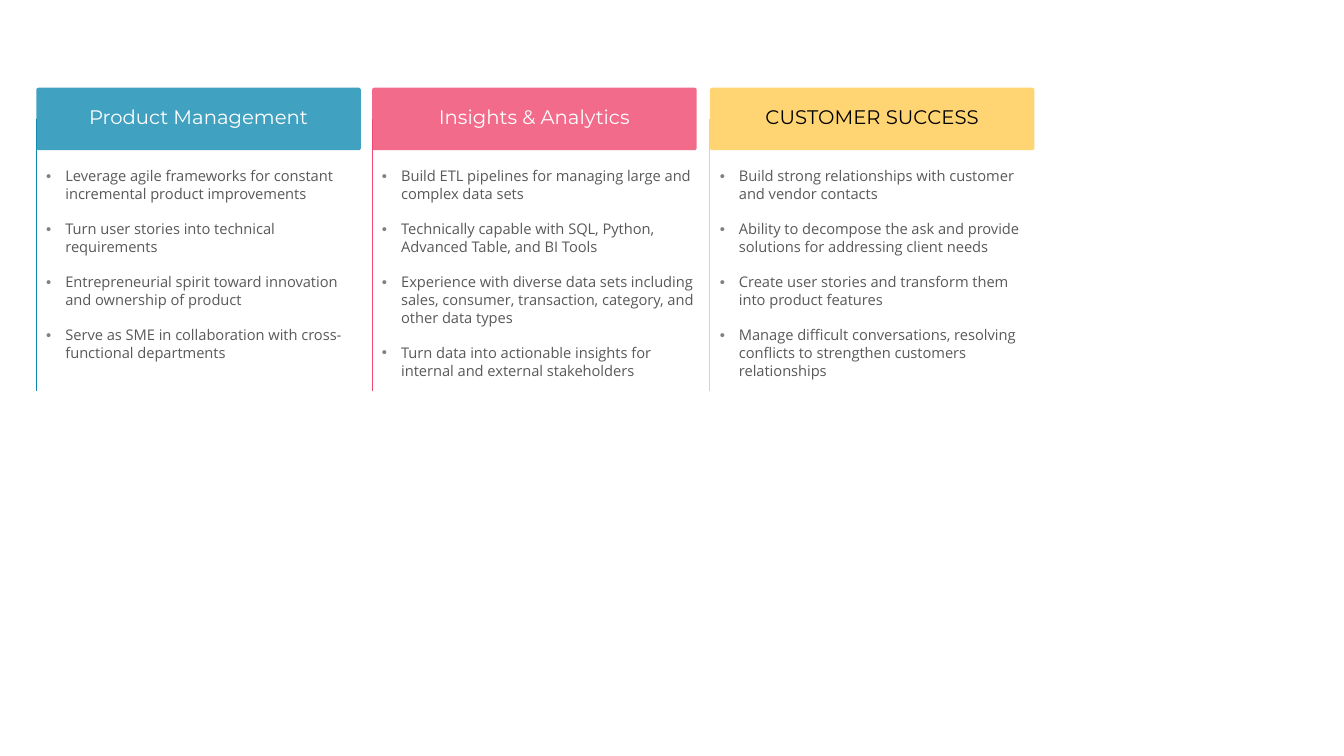
from lxml.etree import SubElement
from pptx import Presentation
from pptx.dml.color import RGBColor
from pptx.enum.shapes import MSO_CONNECTOR as Connector, MSO_SHAPE as Shape
from pptx.enum.text import PP_ALIGN as Align
from pptx.oxml.ns import qn
from pptx.util import Inches, Pt

COLUMNS = [
    (0.36, "Product Management", "118AB2", 80, "FFFFFF", [
        "Leverage agile frameworks for constant incremental product improvements",
        "Turn user stories into technical requirements",
        "Entrepreneurial spirit toward innovation and ownership of product",
        "Serve as SME in collaboration with cross-functional departments",
    ]),
    (3.69, "Insights & Analytics", "EF476F", 80, "FFFFFF", [
        "Build ETL pipelines for managing large and complex data sets",
        "Technically capable with SQL, Python, Advanced Table, and BI Tools",
        "Experience with diverse data sets including sales, consumer, transaction, "
        "category, and other data types",
        "Turn data into actionable insights for internal and external stakeholders",
    ]),
    (7.04, "CUSTOMER SUCCESS", "FFD166", 92, "000000", [
        "Build strong relationships with customer and vendor contacts",
        "Ability to decompose the ask and provide solutions for addressing client needs",
        "Create user stories and transform them into product features",
        "Manage difficult conversations, resolving conflicts to strengthen customers "
        "relationships",
    ]),
]
HEADER_WIDTH = 3.22
LINE_HEIGHT = Pt(12.6)


def color(value):
    return RGBColor.from_string(value)


def add_run(paragraph, text, font_name, size, text_color):
    run = paragraph.add_run()
    run.text = text
    run.font.name = font_name
    run.font.size = Pt(size)
    run.font.color.rgb = color(text_color)


presentation = Presentation()
presentation.slide_width = Inches(13.33)
presentation.slide_height = Inches(7.5)
slide = presentation.slides.add_slide(presentation.slide_layouts[6])
shapes = slide.shapes

for left, title, accent, opacity, title_color, skills in COLUMNS:
    header = shapes.add_shape(Shape.ROUNDED_RECTANGLE, Inches(left), Inches(0.87),
                              Inches(HEADER_WIDTH), Inches(0.62))
    header.adjustments[0] = 0.037
    header.shadow.inherit = False
    header.fill.solid()
    header.fill.fore_color.rgb = color(accent)
    header.line.fill.background()
    fill_color = header.fill._xPr.find(qn("a:solidFill"))[0]
    SubElement(fill_color, qn("a:alpha"), val=str(opacity * 1000))

    title_box = shapes.add_textbox(Inches(left), Inches(1.02),
                                   Inches(HEADER_WIDTH), Inches(0.31))
    title_box.text_frame.word_wrap = True
    paragraph = title_box.text_frame.paragraphs[0]
    paragraph.alignment = Align.CENTER
    paragraph.line_spacing = 0.9
    add_run(paragraph, title, "Montserrat", 14, title_color)

    side_line = shapes.add_connector(Connector.STRAIGHT, Inches(left), Inches(1.18),
                                     Inches(left), Inches(3.88))
    side_line.line.color.rgb = color(accent)
    side_line.line.width = Pt(0.75)
    SubElement(side_line._element.spPr, qn("a:effectLst"))

    skill_box = shapes.add_textbox(Inches(left), Inches(1.61), Inches(3.31), Inches(2.22))
    frame = skill_box.text_frame
    frame.word_wrap = True
    for index, skill in enumerate(skills):
        paragraph = frame.add_paragraph() if index else frame.paragraphs[0]
        paragraph.line_spacing = LINE_HEIGHT
        paragraph.space_after = LINE_HEIGHT
        properties = paragraph._p.get_or_add_pPr()
        properties.set("marL", str(Inches(0.19)))
        properties.set("indent", str(Inches(-0.19)))
        bullet_color = SubElement(properties, qn("a:buClr"))
        SubElement(bullet_color, qn("a:srgbClr"), val="808080")
        SubElement(properties, qn("a:buFont"), typeface="Arial")
        SubElement(properties, qn("a:buChar"), char="•")
        add_run(paragraph, skill, "Open Sans", 10.5, "595959")

presentation.save("out.pptx")
